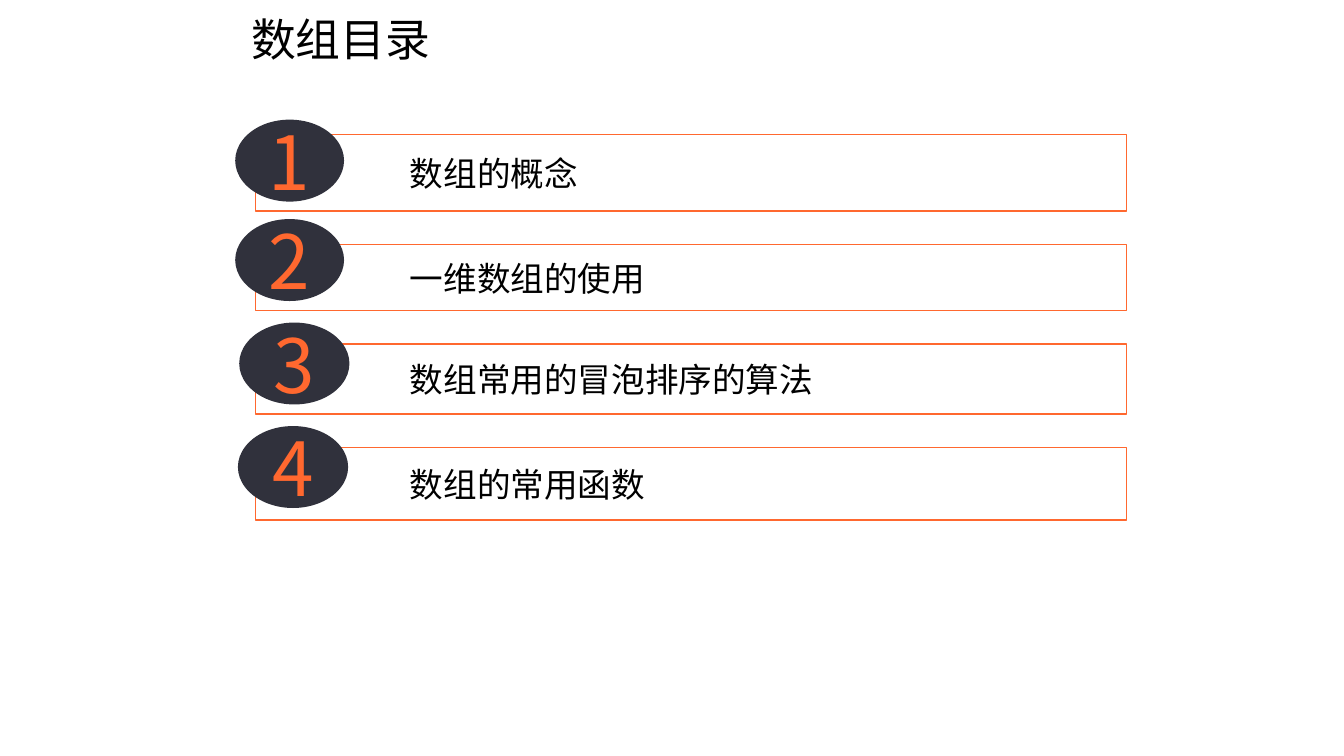
from lxml import etree
from pptx import Presentation
from pptx.dml.color import RGBColor
from pptx.enum.shapes import MSO_SHAPE as Shape
from pptx.enum.text import MSO_ANCHOR as Anchor, PP_ALIGN as Align
from pptx.oxml.ns import qn
from pptx.util import Inches, Pt

BLACK = RGBColor(0x00, 0x00, 0x00)
WHITE = RGBColor(0xFF, 0xFF, 0xFF)
ORANGE = RGBColor(0xFF, 0x68, 0x2F)
DARK = RGBColor(0x30, 0x31, 0x3C)
FONT = "Noto Sans CJK SC"

ENTRIES = [
    ("数组的概念", (1.9, 1, 6.48, 0.57), (1.75, 0.89, 0.81, 0.61)),
    ("一维数组的使用", (1.9, 1.82, 6.48, 0.49), (1.75, 1.63, 0.81, 0.61)),
    ("数组常用的冒泡排序的算法", (1.9, 2.56, 6.48, 0.52), (1.78, 2.4, 0.82, 0.61)),
    ("数组的常用函数", (1.9, 3.33, 6.48, 0.54), (1.77, 3.17, 0.82, 0.61)),
]


def write_text(shape, text, size, color=BLACK, align=Align.LEFT,
               anchor=Anchor.MIDDLE, insets=(0.1, 0.05, 0.1, 0.05)):
    frame = shape.text_frame
    frame.word_wrap = True
    frame.vertical_anchor = anchor
    (frame.margin_left, frame.margin_top,
     frame.margin_right, frame.margin_bottom) = map(Inches, insets)
    paragraph = frame.paragraphs[0]
    paragraph.alignment = align
    run = paragraph.add_run()
    run.text = text
    run.font.size = Pt(size)
    run.font.name = FONT
    run.font.color.rgb = color
    properties = run.font._element
    etree.SubElement(properties, qn("a:ea"), typeface=FONT)


def add_filled_shape(slide, kind, box, color):
    shape = slide.shapes.add_shape(kind, *map(Inches, box))
    shape.shadow.inherit = False
    shape.fill.solid()
    shape.fill.fore_color.rgb = color
    return shape


def add_title(slide, box, text):
    title = slide.shapes.add_textbox(*map(Inches, box))
    write_text(title, text, 24, anchor=Anchor.TOP)


def add_bar(slide, box, text):
    bar = add_filled_shape(slide, Shape.RECTANGLE, box, WHITE)
    color = bar._element.spPr.find(qn("a:solidFill")).find(qn("a:srgbClr"))
    etree.SubElement(color, qn("a:alpha"), val="40000")
    bar.line.color.rgb = ORANGE
    bar.line.width = Pt(0.75)
    write_text(bar, text, 18, insets=(1.15, 0.08, 0.08, 0.08))


def add_badge(slide, box, number):
    badge = add_filled_shape(slide, Shape.OVAL, box, DARK)
    badge.line.fill.background()
    write_text(badge, str(number), 40, color=ORANGE, align=Align.CENTER)


def main():
    presentation = Presentation()
    presentation.slide_width = Inches(10)
    presentation.slide_height = Inches(10 * 9 / 16)
    slide = presentation.slides.add_slide(presentation.slide_layouts[6])
    add_title(slide, (1.77, 0.04, 2.36, 0.5), "数组目录")
    for number, (text, bar_box, badge_box) in enumerate(ENTRIES, 1):
        add_bar(slide, bar_box, text)
        add_badge(slide, badge_box, number)
    presentation.save("out.pptx")


if __name__ == "__main__":
    main()
